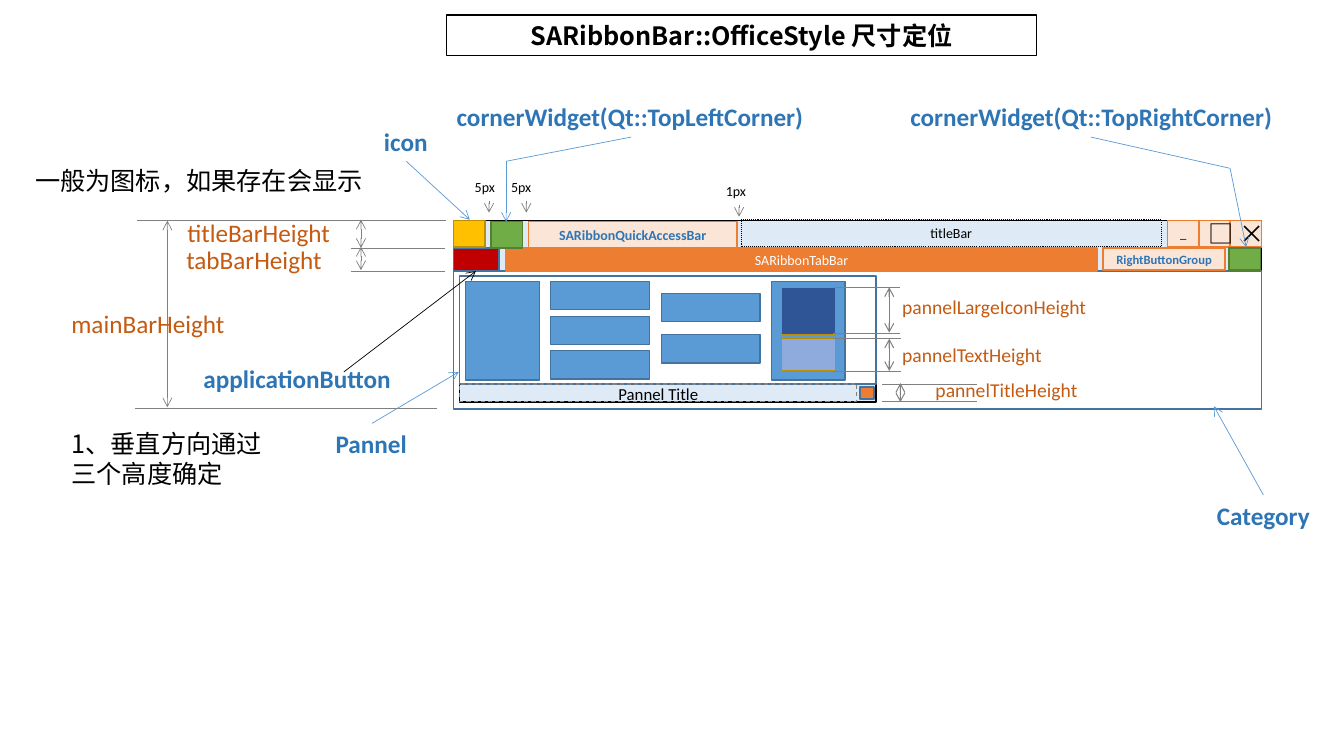
import pptx
import pptx.util
import pptx.oxml
import pptx.oxml.ns
import pptx.dml.color
import pptx.enum.dml
import pptx.enum.shapes
import pptx.enum.text

Inches = pptx.util.Inches
Pt = pptx.util.Pt
RGBColor = pptx.dml.color.RGBColor
DASH = pptx.enum.dml.MSO_LINE
ANCHOR = pptx.enum.text.MSO_ANCHOR
CENTER = pptx.enum.text.PP_ALIGN.CENTER
LEFT = pptx.enum.text.PP_ALIGN.LEFT
RECTANGLE = pptx.enum.shapes.MSO_SHAPE.RECTANGLE
STRAIGHT = pptx.enum.shapes.MSO_CONNECTOR.STRAIGHT

BLACK = RGBColor(0x00, 0x00, 0x00)
WHITE = RGBColor(0xFF, 0xFF, 0xFF)
GRAY = RGBColor(0x80, 0x80, 0x80)
PALE_BLUE = RGBColor(0xDE, 0xEB, 0xF7)
BLUE = RGBColor(0x5B, 0x9B, 0xD5)
EDGE_BLUE = RGBColor(0x43, 0x73, 0x9E)
TEXT_BLUE = RGBColor(0x2E, 0x75, 0xB6)
NAVY = RGBColor(0x2F, 0x55, 0x97)
LAVENDER = RGBColor(0x8F, 0xAA, 0xDC)
ORANGE = RGBColor(0xED, 0x7D, 0x31)
PALE_ORANGE = RGBColor(0xFB, 0xE5, 0xD6)
TEXT_ORANGE = RGBColor(0xC5, 0x5A, 0x11)
RED = RGBColor(0xC0, 0x00, 0x00)
GOLD = RGBColor(0xFF, 0xC0, 0x00)
EDGE_GOLD = RGBColor(0xBD, 0x8E, 0x00)
GREEN = RGBColor(0x70, 0xAD, 0x47)
EDGE_GREEN = RGBColor(0x53, 0x80, 0x35)
LATIN = "Calibri"
CHINESE = "Noto Sans CJK SC"

presentation = pptx.Presentation()
presentation.slide_width = Inches(13.33)
presentation.slide_height = Inches(7.5)
slide = presentation.slides.add_slide(presentation.slide_layouts[5])


def write(shape, text, size, color, bold=False, font=LATIN, align=CENTER, anchor=ANCHOR.MIDDLE, wrap=True):
    frame = shape.text_frame
    frame.text = text
    frame.word_wrap = wrap
    frame.auto_size = pptx.enum.text.MSO_AUTO_SIZE.NONE
    frame.vertical_anchor = anchor
    paragraph = frame.paragraphs[0]
    paragraph.alignment = align
    run = paragraph.runs[0]
    run.font.size = Pt(size)
    run.font.bold = bold
    run.font.name = font
    run.font.color.rgb = color
    east_asian = pptx.oxml.parse_xml(f'<a:ea {pptx.oxml.ns.nsdecls("a")} typeface="{font}"/>')
    run.font._element.find(pptx.oxml.ns.qn("a:latin")).addnext(east_asian)


def add_line(start, end, color=GRAY, width=0.5, arrows=()):
    connector = slide.shapes.add_connector(STRAIGHT, *(Inches(value) for value in start + end))
    connector.line.color.rgb = color
    connector.line.width = Pt(width)
    namespace = pptx.oxml.ns.nsdecls("a")
    for arrow in arrows:
        connector.line._get_or_add_ln().append(pptx.oxml.parse_xml(f'<a:{arrow} {namespace} type="arrow"/>'))
    connector._element.spPr.append(pptx.oxml.parse_xml(f"<a:effectLst {namespace}/>"))


TO_END = ("tailEnd",)
BOTH_ENDS = ("headEnd", "tailEnd")

title = slide.shapes.title
title.left, title.top, title.width, title.height = Inches(4.43), Inches(0.15), Inches(5.85), Inches(0.4)
title.fill.solid()
title.fill.fore_color.rgb = WHITE
title.line.color.rgb = BLACK
title.line.width = Pt(1)
write(title, "SARibbonBar::OfficeStyle 尺寸定位", 18, BLACK, True, CHINESE, anchor=ANCHOR.TOP)

boxes = [
    (4.5, 2.19, 8.01, 1.86, PALE_BLUE, BLACK, None),
    (4.5, 2.69, 8.01, 1.37, WHITE, EDGE_BLUE, None),
    (4.5, 2.46, 0.45, 0.23, RED, EDGE_BLUE, None),
    (5.02, 2.46, 5.86, 0.23, ORANGE, ORANGE, ("SARibbonTabBar", 10, WHITE)),
    (5.24, 2.2, 2.07, 0.26, PALE_ORANGE, ORANGE, ("SARibbonQuickAccessBar", 10, TEXT_BLUE, True)),
    (10.94, 2.46, 1.21, 0.22, PALE_ORANGE, ORANGE, ("RightButtonGroup", 9, TEXT_BLUE, True)),
    (4.5, 2.19, 0.31, 0.26, GOLD, EDGE_GOLD, None),
    (4.87, 2.2, 0.31, 0.26, GREEN, EDGE_GREEN, None),
]
window_buttons = [("×", 18, CHINESE), ("□", 18, CHINESE), ("_", 9, LATIN)]
for index, (symbol, size, font) in enumerate(window_buttons):
    boxes.append((12.2 - 0.31 * index, 2.19, 0.31, 0.26, PALE_ORANGE, ORANGE, (symbol, size, BLACK, False, font)))
boxes += [
    (12.19, 2.46, 0.31, 0.22, GREEN, EDGE_GREEN, None),
    (4.56, 2.74, 4.13, 1.25, PALE_BLUE, BLACK, None),
    (4.56, 2.74, 4.13, 1.07, WHITE, EDGE_BLUE, None),
    (8.53, 3.84, 0.14, 0.12, ORANGE, EDGE_BLUE, None),
]
for left in (4.62, 7.65):
    boxes.append((left, 2.79, 0.73, 0.98, BLUE, EDGE_BLUE, None))
for left, tops in ((5.46, (2.79, 3.14, 3.48)), (6.56, (2.91, 3.32))):
    for top in tops:
        boxes.append((left, top, 0.98, 0.28, BLUE, EDGE_BLUE, None))
boxes += [
    (7.75, 2.85, 0.54, 0.47, NAVY, EDGE_GOLD, None),
    (7.75, 3.36, 0.54, 0.32, LAVENDER, EDGE_GOLD, None),
    (7.35, 2.18, 4.17, 0.27, None, BLACK, ("titleBar", 10, BLACK)),
    (4.56, 3.81, 3.94, 0.17, None, GRAY, ("Pannel Title", 12, BLACK)),
]
dashes = {"titleBar": DASH.ROUND_DOT, "Pannel Title": DASH.DASH}
for left, top, width, height, fill, edge, caption in boxes:
    shape = slide.shapes.add_shape(RECTANGLE, Inches(left), Inches(top), Inches(width), Inches(height))
    shape.shadow.inherit = False
    shape.line.color.rgb = edge
    shape.line.width = Pt(1)
    if fill is None:
        shape.fill.background()
        shape.line.width = Pt(0.75)
        shape.line.dash_style = dashes[caption[0]]
    else:
        shape.fill.solid()
        shape.fill.fore_color.rgb = fill
    if caption:
        write(shape, *caption, anchor=ANCHOR.TOP if fill is None else ANCHOR.MIDDLE)
    if caption and caption[0] == "Pannel Title":
        frame = shape.text_frame
        frame.margin_left = frame.margin_right = frame.margin_top = frame.margin_bottom = 0

guides = [
    (1.36, 4.42, 2.19), (3.48, 4.41, 2.46), (3.48, 4.41, 2.69), (1.34, 4.33, 4.05),
    (8.75, 9.69, 3.81), (8.75, 9.69, 3.98),
    (8.28, 8.93, 2.85), (8.26, 8.93, 3.31), (8.26, 8.94, 3.36), (8.26, 8.94, 3.68),
]
for left, right, y in guides:
    add_line((left, y), (right, y))

height_spans = [
    (3.58, 2.18, 2.46, 0.5), (3.58, 2.45, 2.68, 0.5), (1.66, 2.19, 4.04, 0.5),
    (8.93, 3.8, 3.99, 0.75), (8.82, 3.36, 3.68, 0.75), (8.82, 2.85, 3.3, 0.75),
]
for x, top, bottom, width in height_spans:
    add_line((x, top), (x, bottom), GRAY, width, BOTH_ENDS)

for x, top in ((4.85, 1.99), (5.22, 1.99), (7.33, 2.03)):
    add_line((x, top), (x, top + 0.12), arrows=TO_END)

callouts = [
    ((12.53, 4.91), (12.04, 4.03), BLUE, TO_END),
    ((3.41, 3.69), (4.72, 2.69), BLACK, TO_END),
    ((3.69, 4.2), (4.55, 3.69), BLUE, TO_END),
    ((4.03, 1.6), (4.66, 2.18), BLUE, TO_END),
    ((6.26, 1.36), (5.02, 1.6), BLUE, ()),
    ((5.02, 1.6), (5.02, 2.2), BLUE, TO_END),
    ((10.82, 1.36), (12.2, 1.67), BLUE, ()),
    ((12.2, 1.67), (12.36, 2.45), BLUE, TO_END),
]
for start, end, color, arrows in callouts:
    add_line(start, end, color, 0.5, arrows)

part_style = (18, TEXT_BLUE, True, LATIN)
bar_style = (18, TEXT_ORANGE, False, LATIN)
pannel_style = (14, TEXT_ORANGE, False, LATIN)
gap_style = (10, BLACK, False, LATIN)
note_style = (18, BLACK, False, CHINESE)
labels = [
    (11.97, 4.91, 1.12, 0.4, "Category", part_style),
    (1.92, 3.56, 2.06, 0.4, "applicationButton", part_style),
    (3.23, 4.2, 0.91, 0.4, "Pannel", part_style),
    (3.71, 1.2, 0.63, 0.4, "icon", part_style),
    (4.43, 0.96, 3.65, 0.4, "cornerWidget(Qt::TopLeftCorner)", part_style),
    (8.93, 0.96, 3.79, 0.4, "cornerWidget(Qt::TopRightCorner)", part_style),
    (1.76, 2.11, 1.73, 0.4, "titleBarHeight", bar_style),
    (1.75, 2.37, 1.73, 0.4, "tabBarHeight", bar_style),
    (0.61, 3.01, 1.73, 0.4, "mainBarHeight", bar_style),
    (8.85, 2.88, 2.23, 0.34, "pannelLargeIconHeight", pannel_style),
    (8.85, 3.35, 2.23, 0.34, "pannelTextHeight", pannel_style),
    (9.18, 3.7, 2.23, 0.34, "pannelTitleHeight", pannel_style),
    (4.61, 1.72, 0.49, 0.27, "5px", gap_style),
    (4.97, 1.72, 0.49, 0.27, "5px", gap_style),
    (7.1, 1.76, 0.49, 0.27, "1px", gap_style),
    (0.25, 1.59, 3.52, 0.4, "一般为图标，如果存在会显示", note_style),
    (0.61, 4.2, 2.19, 0.71, "1、垂直方向通过三个高度确定", note_style),
]
for left, top, width, height, text, style in labels:
    label = slide.shapes.add_textbox(Inches(left), Inches(top), Inches(width), Inches(height))
    write(label, text, *style, align=LEFT, anchor=ANCHOR.TOP, wrap=style is not part_style)

presentation.save("out.pptx")
